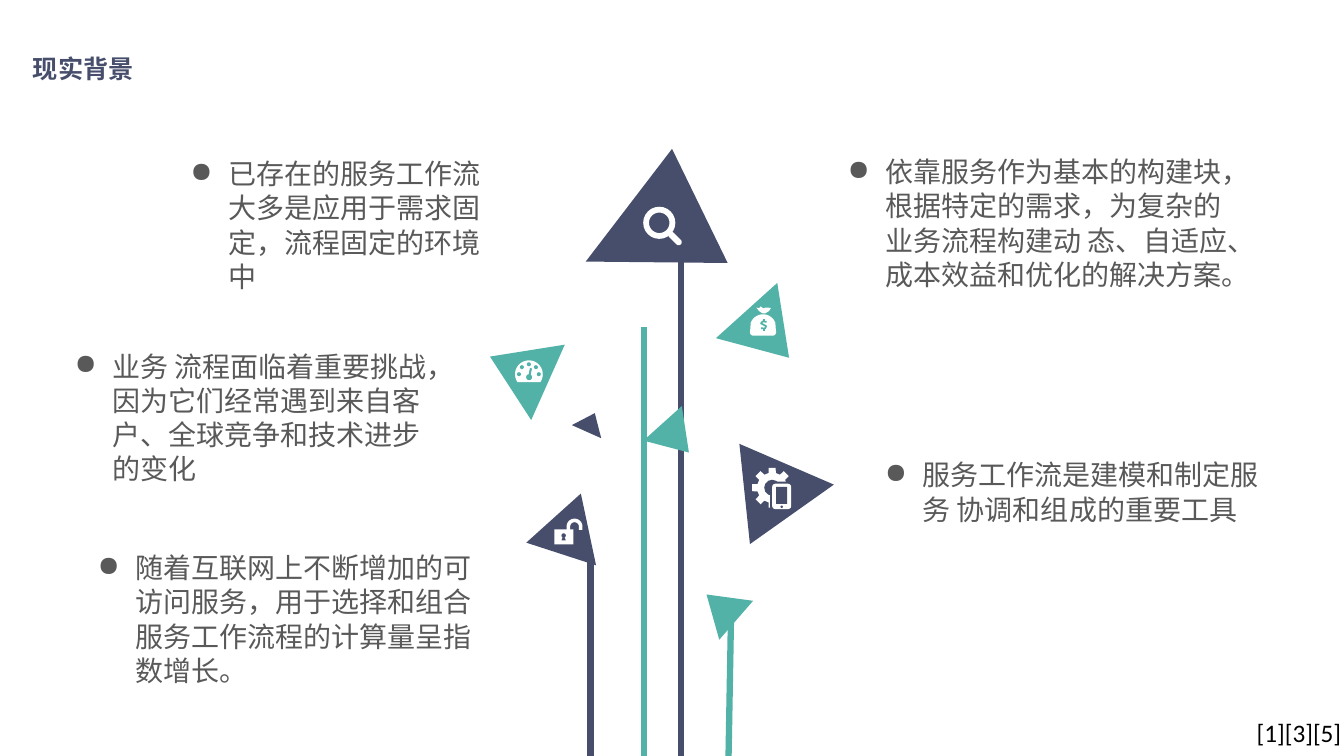
from math import cos, radians, sin

from lxml import etree
from pptx import Presentation
from pptx.dml.color import RGBColor
from pptx.enum.shapes import MSO_CONNECTOR, MSO_SHAPE
from pptx.oxml.ns import qn
from pptx.util import Cm, Pt

LINE = MSO_CONNECTOR.STRAIGHT
TRIANGLE = MSO_SHAPE.ISOSCELES_TRIANGLE
OVAL = MSO_SHAPE.OVAL
DONUT = MSO_SHAPE.DONUT
RECT = MSO_SHAPE.RECTANGLE
ROUND_RECT = MSO_SHAPE.ROUNDED_RECTANGLE

COLORS = {"navy": "464E6C", "teal": "52B2A7", "white": "FFFFFF",
          "gray": "595959", "black": "000000"}
BODY_FONT = "Noto Sans CJK JP"

STEMS = [
    (16.23, 19.05, 16.23, 8.23, "teal"),
    (17.17, 19.05, 17.17, 4.9, "navy"),
    (14.88, 19.05, 14.88, 14.17, "navy"),
    (18.36, 19.05, 18.42, 15.65, "teal"),
]
LEAVES = [
    (14.6, 4.29, 3.2, 3.2, 244, "navy"),
    (12.04, 8.51, 2.08, 1.6, 294, "teal"),
    (18.31, 7.62, 2.08, 1.6, 138, "teal"),
    (16.38, 10.54, 1.3, 0.99, 138, "teal"),
    (13.56, 12.85, 1.85, 1.6, 138, "navy"),
    (18.62, 11.2, 2.54, 2.26, 84, "navy"),
    (14.48, 10.39, 0.81, 0.51, 24, "navy"),
    (17.53, 14.81, 1.3, 0.99, 311, "teal"),
]
POINTS = [
    (22.05, 11.4, 9.98, 1.96, "服务工作流是建模和制定服务 协调和组成的重要工具"),
    (21.11, 3.76, 10.19, 3.68, "依靠服务作为基本的构建块，根据特定的需求，为复杂的"
     "业务流程构建动 态、自适应、成本效益和优化的解决方案。"),
    (4.55, 3.81, 8, 3.68, "已存在的服务工作流大多是应用于需求固定，流程固定的环境中"),
    (1.63, 8.66, 9.47, 3.68, "业务 流程面临着重要挑战，因为它们经常遇到来自客户、"
     "全球竞争和技术进步的变化"),
    (2.21, 13.74, 10.46, 3.68, "随着互联网上不断增加的可访问服务，用于选择和组合"
     "服务工作流程的计算量呈指数增长。"),
]


def rgb(color):
    return RGBColor.from_string(COLORS[color])


def paint(sp, color):
    sp.shadow.inherit = False
    sp.fill.solid()
    sp.fill.fore_color.rgb = rgb(color)
    sp.line.fill.background()


def add_preset(s, kind, x, y, w, h, color, rotation=0):
    sp = s.shapes.add_shape(kind, Cm(x), Cm(y), Cm(w), Cm(h))
    sp.rotation = rotation
    paint(sp, color)
    return sp


def add_outline(s, points, color, closed=True):
    units = [(round(x * 1000), round(y * 1000)) for x, y in points]
    builder = s.shapes.build_freeform(*units[0], scale=Cm(1) / 1000)
    builder.add_line_segments(units[1:], close=closed)
    sp = builder.convert_to_shape()
    paint(sp, color)
    return sp


def add_line(s, x1, y1, x2, y2, color, width=4.5):
    line = s.shapes.add_connector(LINE, Cm(x1), Cm(y1), Cm(x2), Cm(y2))
    line.line.color.rgb = rgb(color)
    line.line.width = Pt(width)
    etree.SubElement(line._element.spPr, qn("a:effectLst"))


def polar(cx, cy, radius, angle):
    return cx + radius * cos(radians(angle)), cy + radius * sin(radians(angle))


def arc(cx, cy, radius, start, end, steps=24):
    return [polar(cx, cy, radius, start + (end - start) * i / steps)
            for i in range(steps + 1)]


def add_text(s, x, y, w, h, text, font, size, color, bold=False, wrap=True):
    tf = s.shapes.add_textbox(Cm(x), Cm(y), Cm(w), Cm(h)).text_frame
    tf.word_wrap = wrap
    p = tf.paragraphs[0]
    r = p.add_run()
    r.text = text
    r.font.name = font
    r.font.size = Pt(size)
    r.font.bold = bold
    r.font.color.rgb = rgb(color)
    etree.SubElement(r._r.get_or_add_rPr(), qn("a:ea"), typeface=font)
    return p


def add_bullet_text(s, x, y, w, h, text):
    p = add_text(s, x, y, w, h, text, BODY_FONT, 20, "gray")
    p.line_spacing = Pt(24.4)
    pPr = p._p.get_or_add_pPr()
    pPr.set("marL", str(Cm(0.95)))
    pPr.set("indent", str(-Cm(0.95)))
    etree.SubElement(pPr, qn("a:buChar"), char="●")


def add_magnifier(s):
    lens = add_preset(s, DONUT, 16.21, 5.21, 0.81, 0.81, "white")
    lens.adjustments[0] = 0.18
    handle = add_preset(s, ROUND_RECT, 16.8, 5.93, 0.42, 0.16, "white", 45)
    handle.adjustments[0] = 0.5


def add_gauge(s):
    cx, cy = 13.33, 9.43
    add_outline(s, arc(cx, cy, 0.35, 145, 395), "white")
    for angle in range(180, 361, 45):
        x, y = polar(cx, cy, 0.25, angle)
        add_preset(s, OVAL, x - 0.05, y - 0.05, 0.1, 0.1, "teal")
    add_preset(s, OVAL, 13.26, 9.43, 0.15, 0.15, "teal")
    add_line(s, 13.34, 9.48, 13.38, 9.28, "teal", 1.5)


def add_gear_and_phone(s):
    cx, cy = 19.46, 12.29
    teeth = []
    for angle in range(0, 360, 45):
        teeth += [polar(cx, cy, radius, angle + turn) for radius, turn in
                  ((0.38, -14), (0.51, -10), (0.51, 10), (0.38, 14))]
    add_outline(s, teeth, "white")
    add_preset(s, OVAL, cx - 0.2, cy - 0.2, 0.4, 0.4, "navy")
    add_preset(s, ROUND_RECT, 19.41, 12.14, 0.58, 0.74, "navy")
    add_preset(s, ROUND_RECT, 19.46, 12.19, 0.48, 0.64, "white")
    add_preset(s, RECT, 19.56, 12.27, 0.28, 0.43, "navy")
    add_preset(s, OVAL, 19.67, 12.74, 0.06, 0.06, "navy")


def add_money_bag(s):
    add_outline(s, [(19.06, 7.75), (19.13, 7.77), (19.17, 7.72), (19.23, 7.77),
                    (19.3, 7.75), (19.43, 7.76), (19.38, 7.84), (19.28, 7.9),
                    (19.22, 7.9), (19.13, 7.84)], "white")
    add_outline(s, arc(19.23, 8.25, 0.33, 200, 340)
                + arc(19.47, 8.37, 0.09, -20, 90, 8)
                + arc(18.99, 8.37, 0.09, 90, 200, 8), "white")
    dollar = add_outline(s, [(19.32, 8.11), (19.22, 8.1), (19.18, 8.15),
                             (19.31, 8.22), (19.28, 8.28), (19.18, 8.27)],
                         "teal", closed=False)
    dollar.fill.background()
    dollar.line.color.rgb = rgb("teal")
    dollar.line.width = Pt(1.2)
    for y in (8.05, 8.28):
        add_line(s, 19.25, y, 19.25, y + 0.06, "teal", 1.2)


def add_open_lock(s):
    cx, cy, foot = 14.48, 13.27, 13.35
    add_outline(s, [(cx - 0.2, foot)] + arc(cx, cy, 0.2, 180, 360)
                + [(cx + 0.2, foot), (cx + 0.11, foot)]
                + arc(cx, cy, 0.11, 360, 180) + [(cx - 0.11, foot)], "white")
    add_preset(s, RECT, 13.97, 13.34, 0.48, 0.38, "white")
    add_preset(s, OVAL, 14.15, 13.44, 0.11, 0.11, "navy")
    add_preset(s, TRIANGLE, 14.15, 13.47, 0.11, 0.15, "navy")


def main():
    prs = Presentation()
    prs.slide_width, prs.slide_height = Cm(33.87), Cm(19.05)
    s = prs.slides.add_slide(prs.slide_layouts[6])
    for stem in STEMS:
        add_line(s, *stem)
    for x, y, w, h, rotation, color in LEAVES:
        add_preset(s, TRIANGLE, x, y, w, h, color, rotation)
    add_magnifier(s)
    add_gauge(s)
    add_gear_and_phone(s)
    add_money_bag(s)
    add_open_lock(s)
    for point in POINTS:
        add_bullet_text(s, *point)
    add_text(s, 31.42, 17.96, 2.64, 1.02, "[1][3][5]", "Calibri", 18, "black", wrap=False)
    add_text(s, 0.58, 1.22, 4.65, 1.02, "现实背景", "Roboto Condensed", 18, "navy", bold=True)
    prs.save("out.pptx")


if __name__ == "__main__":
    main()
